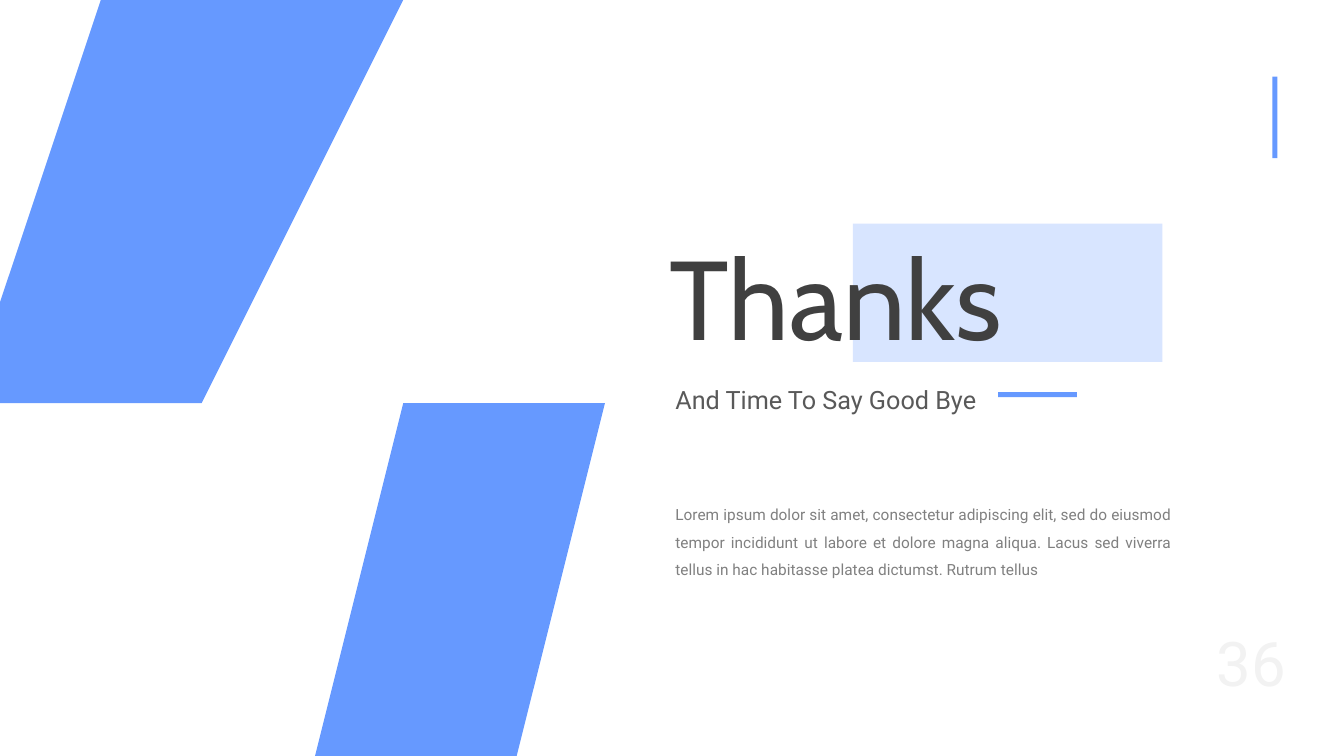
from lxml import etree
from pptx import Presentation, util as u
from pptx.enum import shapes, text
from pptx.dml.color import RGBColor
from pptx.oxml.ns import qn

WIDTH, HEIGHT = 13.33, 7.5
COLORS = {"accent": "6699FF", "heading": "404040", "subtitle": "595959",
          "body": "808080", "number": "F2F2F2"}


def paint(shape, color):
    shape.shadow.inherit = False
    shape.fill.solid()
    shape.fill.fore_color.rgb = RGBColor.from_string(COLORS[color])
    shape.line.fill.background()


def add_bar(slide, left, top, width, height, opacity=100):
    bar = slide.shapes.add_shape(shapes.MSO_SHAPE.RECTANGLE, u.Inches(left),
                                 u.Inches(top), u.Inches(width), u.Inches(height))
    paint(bar, "accent")
    if opacity < 100:
        tint = bar.fill._xPr.find(qn("a:solidFill"))[0]
        etree.SubElement(tint, qn("a:alpha"), val=str(opacity * 1000))


def add_band(slide, corners):
    builder = slide.shapes.build_freeform(*corners[0], scale=u.Inches(1))
    builder.add_line_segments(corners[1:], close=True)
    paint(builder.convert_to_shape(), "accent")


def write(holder, words, size, font, color, align, line=1.0, before=0, after=0):
    frame = holder.text_frame
    frame.text = words
    frame.word_wrap = True
    frame.auto_size = text.MSO_AUTO_SIZE.NONE
    frame.vertical_anchor = text.MSO_ANCHOR.TOP
    paragraph = frame.paragraphs[0]
    paragraph.alignment = align
    paragraph.line_spacing = line
    paragraph.space_before, paragraph.space_after = u.Pt(before), u.Pt(after)
    style = paragraph.runs[0].font
    style.size, style.name = u.Pt(size), font
    style.color.rgb = RGBColor.from_string(COLORS[color])


def add_words(slide, box, words, size, color, align, **spacing):
    holder = slide.shapes.add_textbox(*(u.Inches(length) for length in box))
    write(holder, words, size, "Roboto", color, align, **spacing)


def add_slanted_bands(slide, width, height):
    middle = height / 2
    add_band(slide, [(1.1, 0), (3.53, 0), (1.99, middle), (0, middle), (0, 2.68)])
    top = 0.57 * height
    add_band(slide, [(0.3 * width, top), (6.2, top), (4.87, height), (2.69, height)])


def add_farewell(slide, left, top, width):
    add_bar(slide, left + 1.86, top, 3.07, 1.37, opacity=25)
    title = slide.shapes.title
    title.left, title.top = u.Inches(left - 0.06), u.Inches(top)
    title.width, title.height = u.Inches(width), u.Inches(1.45)
    write(title, "Thanks", 80, "Cabin", "heading", text.PP_ALIGN.LEFT, after=8)
    slide.shapes._spTree.append(title._element)  # in front of the tinted bar

    spacing = {"line": 1.5, "before": 18, "after": 18}
    justify = text.PP_ALIGN.JUSTIFY
    add_words(slide, (left, top + 1.39, 3.8, 0.5), "And Time To Say Good Bye",
              18, "subtitle", justify, **spacing)
    add_bar(slide, left + 3.3, top + 1.67, 0.78, 0.05)
    add_words(slide, (left, top + 2.65, width, 0.9),
              "Lorem ipsum dolor sit amet, consectetur adipiscing elit, sed do "
              "eiusmod tempor incididunt ut labore et dolore magna aliqua. Lacus "
              "sed viverra tellus in hac habitasse platea dictumst. Rutrum tellus",
              11, "body", justify, **spacing)


def add_right_margin(slide, left, width):
    add_bar(slide, left + 0.72, 0.76, 0.05, 0.81)
    add_words(slide, (left, 6.15, width, 0.82), "36", 44, "number",
              text.PP_ALIGN.CENTER)


def main():
    deck = Presentation()
    deck.slide_width, deck.slide_height = u.Inches(WIDTH), u.Inches(HEIGHT)
    slide = deck.slides.add_slide(deck.slide_layouts.get_by_name("Title Only"))
    add_slanted_bands(slide, WIDTH, HEIGHT)
    add_farewell(slide, left=6.6, top=2.22, width=5.12)
    add_right_margin(slide, left=11.9, width=1.02)
    deck.save("out.pptx")


if __name__ == "__main__":
    main()
